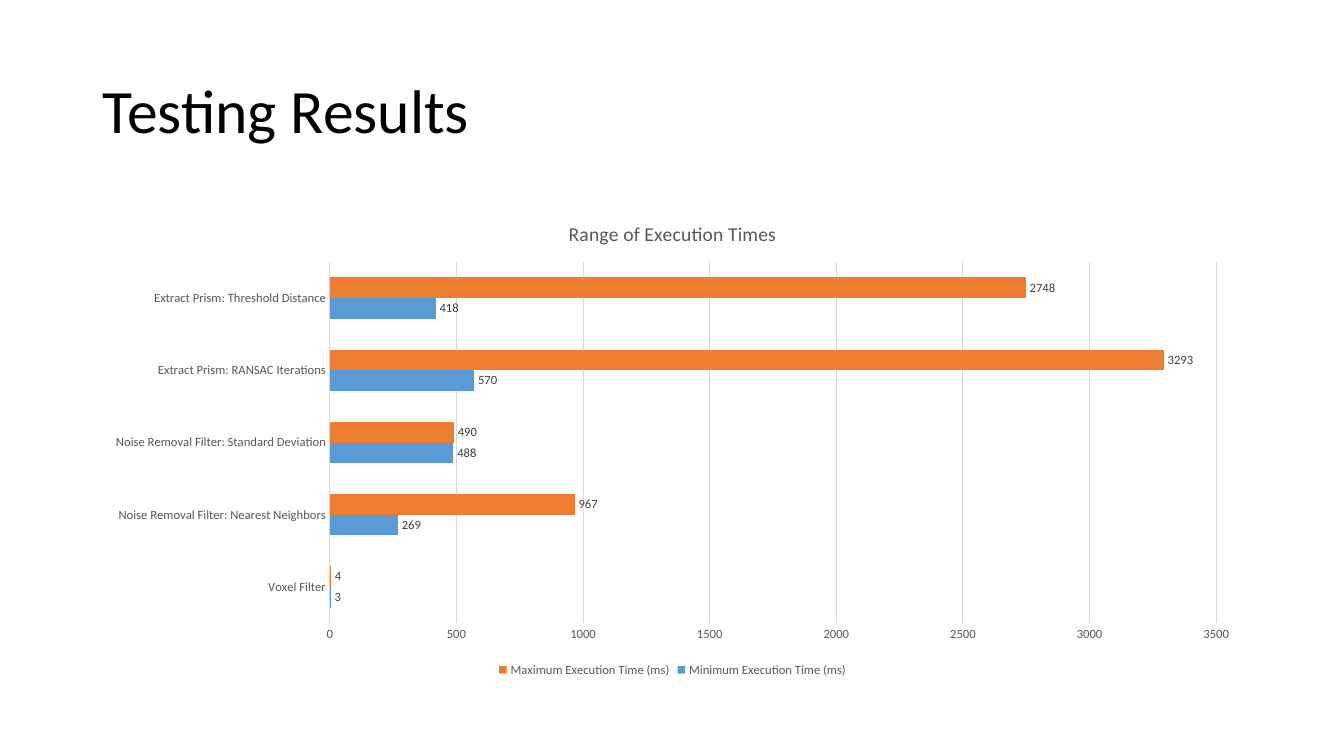
from dataclasses import dataclass

from pptx import Presentation
from pptx.chart.data import CategoryChartData
from pptx.dml.color import RGBColor
from pptx.enum.chart import XL_CHART_TYPE as ChartType
from pptx.enum.chart import XL_LABEL_POSITION as LabelPos
from pptx.enum.chart import XL_LEGEND_POSITION as LegendPos
from pptx.enum.chart import XL_TICK_MARK as TickMark
from pptx.enum.text import MSO_ANCHOR
from pptx.util import Inches, Pt

FONT = "Calibri"
COLORS = {
    "title": "000000",
    "text": "595959",
    "label": "404040",
    "grid": "D9D9D9",
    "minimum": "5B9BD5",
    "maximum": "ED7D31",
}
LEFT, WIDTH = Inches(0.92), Inches(11.5)


@dataclass
class TimeSeries:
    name: str
    values: tuple[int, ...]
    color: str


FILTERS = (
    "Voxel Filter",
    "Noise Removal Filter: Nearest Neighbors",
    "Noise Removal Filter: Standard Deviation",
    "Extract Prism: RANSAC Iterations",
    "Extract Prism: Threshold Distance",
)
TIMES = (
    TimeSeries("Minimum Execution Time (ms)", (3, 269, 488, 570, 418), "minimum"),
    TimeSeries("Maximum Execution Time (ms)", (4, 967, 490, 3293, 2748), "maximum"),
)


def rgb(key: str) -> RGBColor:
    return RGBColor.from_string(COLORS[key])


def set_font(font, size: float, color: str) -> None:
    font.name = FONT
    font.size = Pt(size)
    font.bold = False
    font.color.rgb = rgb(color)


def set_line(line, color: str) -> None:
    line.color.rgb = rgb(color)
    line.width = Pt(0.75)


def add_title(s, text: str) -> None:
    tf = s.shapes.add_textbox(LEFT, Inches(0.4), WIDTH, Inches(1.45)).text_frame
    tf.word_wrap = True
    tf.vertical_anchor = MSO_ANCHOR.MIDDLE
    p = tf.paragraphs[0]
    p.text = text
    p.line_spacing = 0.9
    set_font(p.font, 44, "title")


def style_axes(chart) -> None:
    for axis in (chart.category_axis, chart.value_axis):
        axis.major_tick_mark = axis.minor_tick_mark = TickMark.NONE
        set_font(axis.tick_labels.font, 9, "text")
    set_line(chart.category_axis.format.line, "grid")
    value_axis = chart.value_axis
    value_axis.minimum_scale, value_axis.maximum_scale = 0, 3500
    value_axis.major_unit = 500
    value_axis.format.line.fill.background()
    value_axis.has_major_gridlines = True
    set_line(value_axis.major_gridlines.format.line, "grid")


def style_series(plot) -> None:
    plot.gap_width = 150
    plot.overlap = 0
    plot.vary_by_categories = False
    for series, times in zip(plot.series, TIMES):
        series.format.fill.solid()
        series.format.fill.fore_color.rgb = rgb(times.color)
        labels = series.data_labels
        labels.show_value = True
        labels.position = LabelPos.OUTSIDE_END
        set_font(labels.font, 9, "label")


def add_times_chart(s, title: str) -> None:
    data = CategoryChartData(number_format="General")
    data.categories = FILTERS
    for times in TIMES:
        data.add_series(times.name, times.values)
    chart = s.shapes.add_chart(
        ChartType.BAR_CLUSTERED, LEFT, Inches(2), WIDTH, Inches(4.76), data
    ).chart
    set_font(chart.font, 10, "title")
    chart.has_title = True
    p = chart.chart_title.text_frame.paragraphs[0]
    p.text = title
    set_font(p.font, 14, "text")
    chart.chart_title.include_in_layout = False
    chart.has_legend = True
    chart.legend.position = LegendPos.BOTTOM
    chart.legend.include_in_layout = False
    set_font(chart.legend.font, 9, "text")
    style_axes(chart)
    style_series(chart.plots[0])


prs = Presentation()
prs.slide_width, prs.slide_height = Inches(13.33), Inches(7.5)
s = prs.slides.add_slide(prs.slide_layouts[6])
add_title(s, "Testing Results")
add_times_chart(s, "Range of Execution Times")
prs.save("out.pptx")
